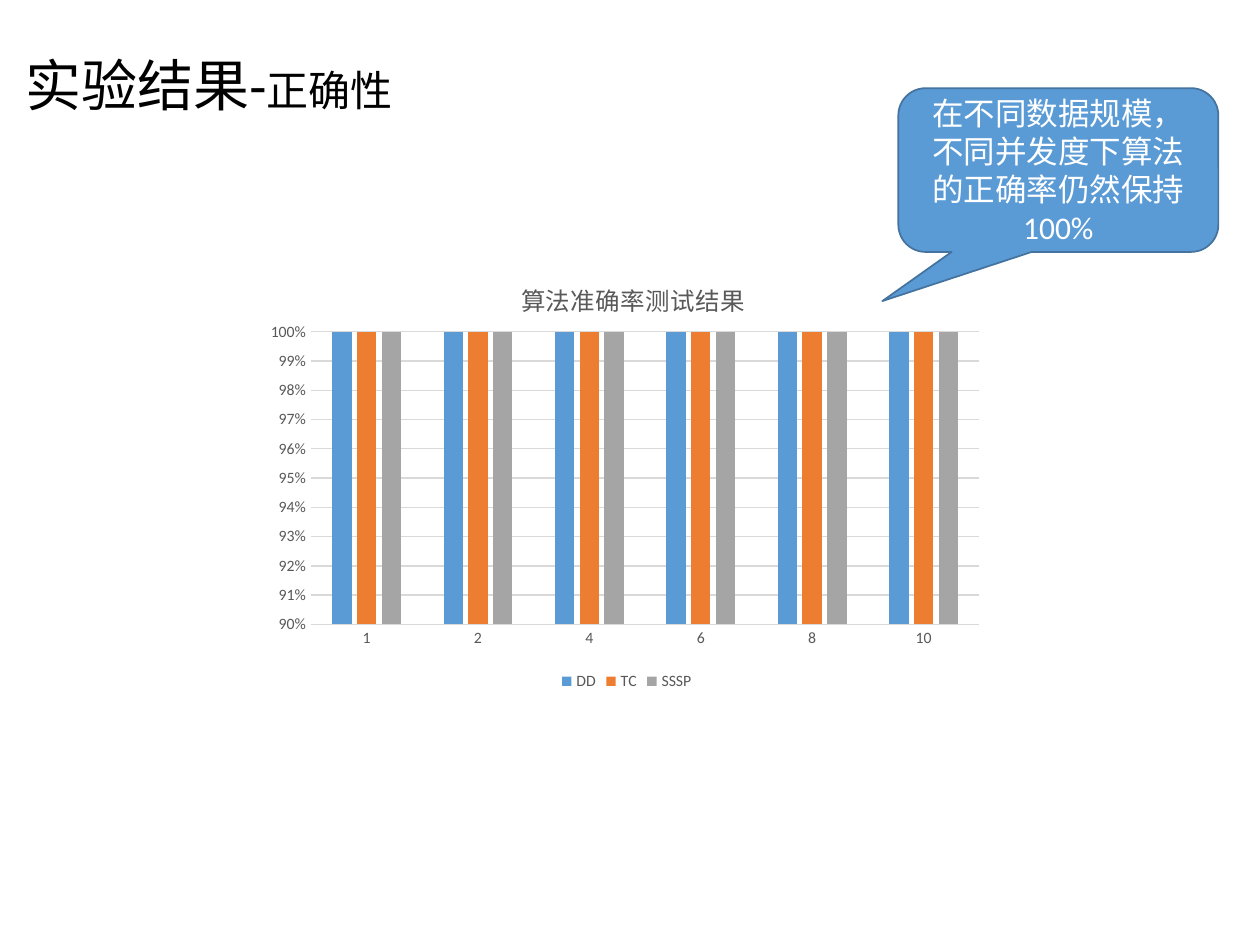
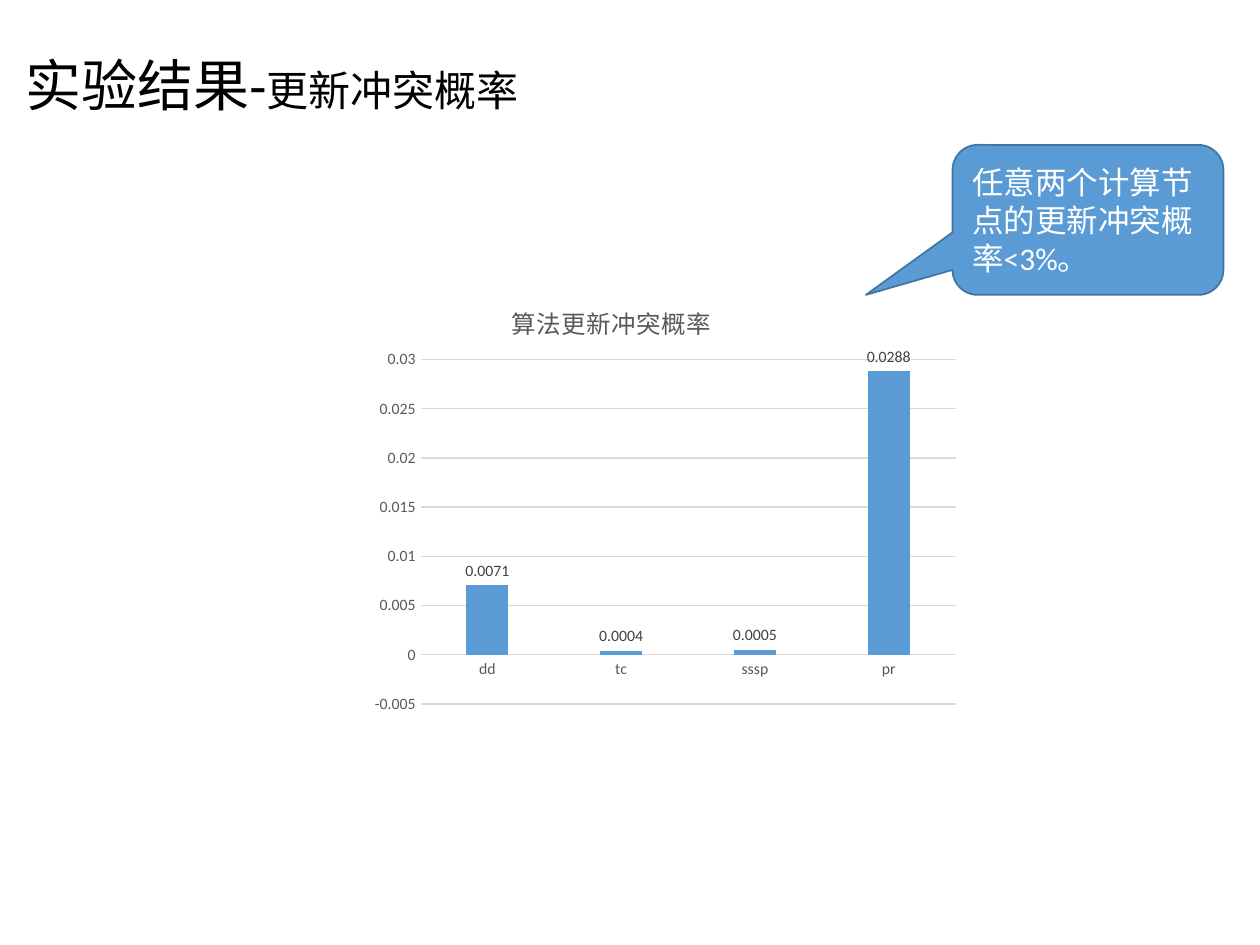
from lxml.etree import SubElement as Sub
from pptx import Presentation
from pptx.chart.data import CategoryChartData as Data
from pptx.dml.color import RGBColor as Rgb
from pptx.enum.chart import XL_CHART_TYPE as Kind, XL_LABEL_POSITION as Spot
from pptx.enum.chart import XL_LEGEND_POSITION as Side, XL_TICK_MARK as Tick
from pptx.enum.shapes import MSO_SHAPE as Form
from pptx.enum.text import MSO_ANCHOR as Anchor, MSO_AUTO_SIZE as Fit, PP_ALIGN as Align
from pptx.oxml.ns import qn
from pptx.util import Pt

SCALE = 9144
FONT = "Calibri"
HUES = {
    "black": "000000", "white": "FFFFFF", "blue": "5B9BD5", "edge": "43739E",
    "orange": "ED7D31", "gray": "A5A5A5", "grid": "D9D9D9", "label": "595959",
    "value": "404040",
}


def px(*nums):
    return [num * SCALE for num in nums]


def hue(name):
    return Rgb.from_string(HUES[name])


def style(font, size, color):
    font.name, font.size, font.bold = FONT, Pt(size), False
    font.color.rgb = hue(color)


def stroke(line, color, width):
    line.color.rgb = hue(color)
    line.width = Pt(width)


def write(frame, *runs, color="black", align=Align.LEFT, space=None):
    frame.word_wrap = True
    frame.auto_size = Fit.NONE
    frame.vertical_anchor = Anchor.MIDDLE
    para = frame.paragraphs[0]
    para.alignment, para.line_spacing = align, space
    for text, size in runs:
        run = para.add_run()
        run.text = text
        style(run.font, size, color)


def place(node, index, **sizes):
    for old in node.findall(qn("c:layout")):
        node.remove(old)
    layout = Sub(node, qn("c:layout"))
    node.insert(index, layout)
    manual = Sub(layout, qn("c:manualLayout"))
    if "w" in sizes:
        Sub(manual, qn("c:layoutTarget")).set("val", "inner")
    for key in "xy":
        Sub(manual, qn(f"c:{key}Mode")).set("val", "edge")
    for key, size in sizes.items():
        Sub(manual, qn(f"c:{key}")).set("val", str(size))


class Deck:
    def __init__(self):
        self.show = Presentation()
        self.show.slide_width, self.show.slide_height = px(1000, 750)

    def page(self, topic):
        self.slide = self.show.slides.add_slide(self.show.slide_layouts[5])
        title = self.slide.shapes.title
        title.left, title.top, title.width, title.height = px(10, 43, 862, 54)
        write(title.text_frame, ("实验结果-", 32), (topic, 24), space=0.9)

    def callout(self, text, box, tip, align=Align.LEFT):
        shape = self.slide.shapes.add_shape(Form.ROUNDED_RECTANGULAR_CALLOUT, *px(*box))
        for index, value in enumerate((*tip, 0.167)):
            shape.adjustments[index] = value
        shape.shadow.inherit = False
        shape.fill.solid()
        shape.fill.fore_color.rgb = hue("blue")
        stroke(shape.line, "edge", 1)
        write(shape.text_frame, (text, 18), color="white", align=align)

    def chart(self, title, box, cats, rows, span, step, head, plot):
        data = Data()
        data.categories = cats
        for name, values, _ in rows:
            data.add_series(name, values)
        chart = self.slide.shapes.add_chart(Kind.COLUMN_CLUSTERED, *px(*box), data).chart
        style(chart.font, 10, "black")
        chart.has_legend = False
        chart.has_title = True
        para = chart.chart_title.text_frame.paragraphs[0]
        para.text = title
        style(para.runs[0].font, 14, "label")
        place(chart.chart_title.element, 1, **head)
        place(chart.element.find(".//" + qn("c:plotArea")), 0, **plot)
        bars = chart.plots[0]
        bars.gap_width, bars.overlap = 219, -27
        bars.vary_by_categories = False
        for bar, (_, _, color) in zip(bars.series, rows):
            bar.format.fill.solid()
            bar.format.fill.fore_color.rgb = hue(color)
        for axis in (chart.category_axis, chart.value_axis):
            axis.major_tick_mark = axis.minor_tick_mark = Tick.NONE
            style(axis.tick_labels.font, 9, "label")
        stroke(chart.category_axis.format.line, "grid", 0.75)
        axis = chart.value_axis
        axis.format.line.fill.background()
        axis.minimum_scale, axis.maximum_scale = span
        axis.major_unit = step
        stroke(axis.major_gridlines.format.line, "grid", 0.75)
        return chart

    def legend(self, chart):
        chart.has_legend = True
        chart.legend.position = Side.BOTTOM
        chart.legend.include_in_layout = False
        style(chart.legend.font, 9, "label")

    def labels(self, chart):
        labels = chart.plots[0].series[0].data_labels
        labels.show_value = True
        labels.position = Spot.OUTSIDE_END
        style(labels.font, 9, "value")


def main():
    deck = Deck()

    deck.page("正确性")
    rates = [(name, [1] * 6, color) for name, color in
             (("DD", "blue"), ("TC", "orange"), ("SSSP", "gray"))]
    chart = deck.chart("算法准确率测试结果", (206, 200, 583, 352),
                       ["1", "2", "4", "6", "8", "10"], rates, (0.9, 1), 0.01,
                       dict(x=0.35, y=0.05), dict(x=0.07, y=0.18, w=0.91, h=0.66))
    ticks = chart.value_axis.tick_labels
    ticks.number_format, ticks.number_format_is_linked = "0%", False
    deck.legend(chart)
    deck.callout("在不同数据规模，不同并发度下算法的正确率仍然保持100%",
                 (713, 70, 254, 130), (-0.55, 0.8), Align.CENTER)

    deck.page("更新冲突概率")
    odds = [("冲突概率", [0.0071, 0.0004, 0.0005, 0.0288], "blue")]
    chart = deck.chart("算法更新冲突概率", (196, 218, 574, 355),
                       ["dd", "tc", "sssp", "pr"], odds, (-0.005, 0.03), 0.005,
                       dict(x=0.36, y=0.05), dict(x=0.24, y=0.19, w=0.74, h=0.77))
    deck.labels(chart)
    deck.callout("任意两个计算节点的更新冲突概率<3%。",
                 (756, 115, 215, 119), (-0.82, 0.5))

    deck.show.save("out.pptx")


if __name__ == "__main__":
    main()
